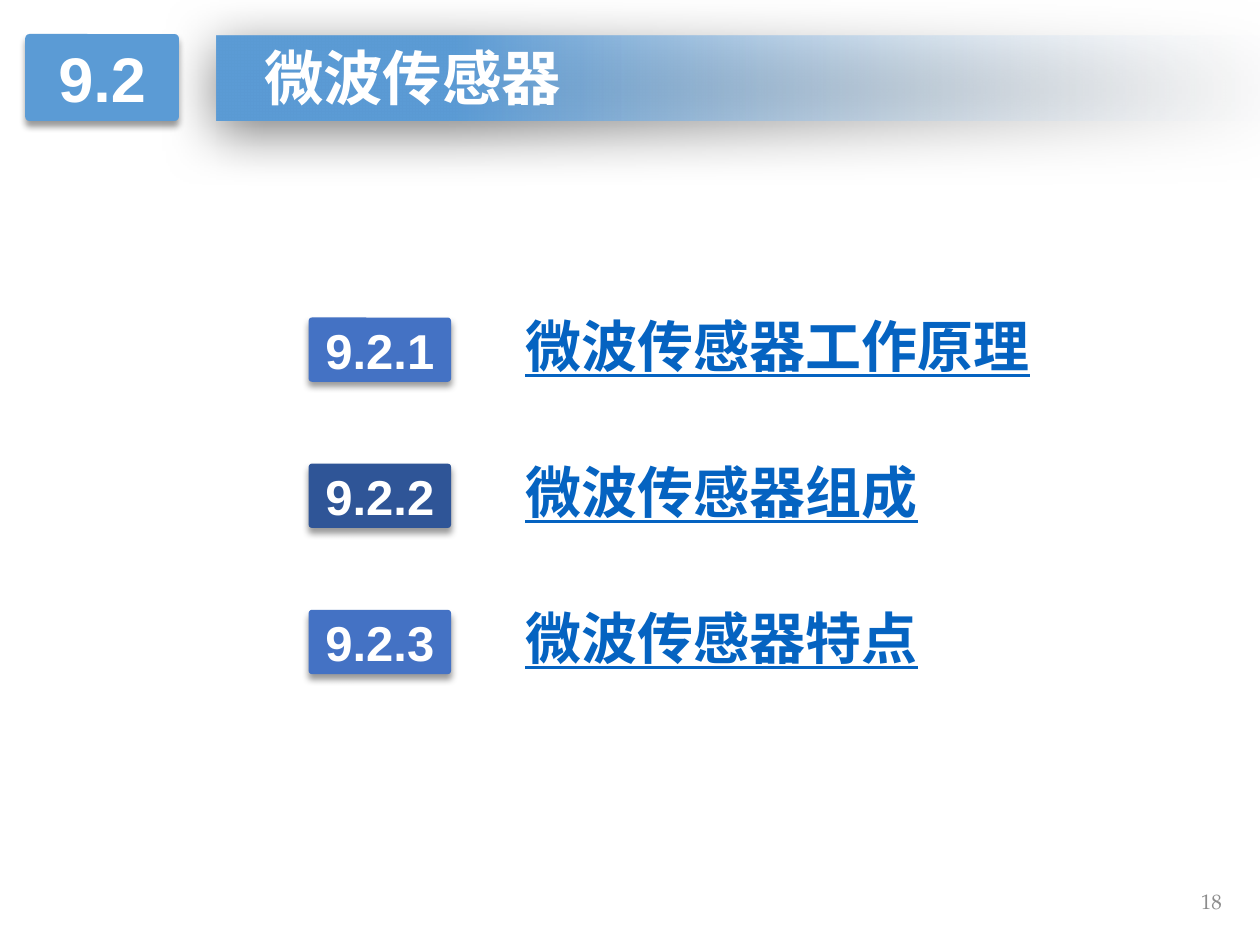
from dataclasses import dataclass

from lxml.etree import SubElement
from pptx import Presentation
from pptx.dml.color import RGBColor
from pptx.enum.shapes import MSO_SHAPE
from pptx.enum.text import MSO_ANCHOR, MSO_AUTO_SIZE, PP_ALIGN
from pptx.oxml.ns import qn
from pptx.shapes.autoshape import Shape
from pptx.slide import Slide
from pptx.util import Inches, Pt

WHITE = RGBColor(0xFF, 0xFF, 0xFF)
PALE = RGBColor(0xF6, 0xF8, 0xFC)
SKY = RGBColor(0x5B, 0x9B, 0xD5)
BLUE = RGBColor(0x44, 0x72, 0xC4)
NAVY = RGBColor(0x2F, 0x55, 0x97)
LINK = RGBColor(0x05, 0x63, 0xC1)
GRAY = RGBColor(0x8C, 0x8C, 0x8C)

LATIN = "Arial"
CHINESE = "Noto Sans CJK SC"
SERIF = "TeX Gyre Pagella"

FIRST_TOP = 2.52
ROW_PITCH = 1.16
ENTRY_PADDING = 0.26


@dataclass(frozen=True)
class Box:
    left: float
    top: float
    width: float
    height: float

    def lengths(self) -> list[Inches]:
        return [Inches(v) for v in (self.left, self.top, self.width, self.height)]


@dataclass(frozen=True)
class Style:
    size: int
    font: str
    color: RGBColor
    bold: bool = True
    underline: bool = False
    align: PP_ALIGN = PP_ALIGN.CENTER


@dataclass(frozen=True)
class Shadow:
    alpha: int
    blur: int
    distance: int
    angle: int


@dataclass(frozen=True)
class Section:
    number: str
    title: str
    color: RGBColor


BADGE_SHADOW = Shadow(40, 4, 3, 90)
BAR_SHADOW = Shadow(50, 31, 6, 97)
TITLE = Style(34, CHINESE, WHITE)
ENTRY = Style(32, CHINESE, LINK, underline=True, align=PP_ALIGN.LEFT)
PAGE = Style(12, SERIF, GRAY, bold=False)

SECTIONS = [
    Section("9.2.1", "微波传感器工作原理", BLUE),
    Section("9.2.2", "微波传感器组成", NAVY),
    Section("9.2.3", "微波传感器特点", BLUE),
]


def write(shape: Shape, text: str, style: Style) -> None:
    paragraph = shape.text_frame.paragraphs[0]
    paragraph.text = text
    paragraph.alignment = style.align
    font = paragraph.font
    font.size = Pt(style.size)
    font.bold = style.bold
    font.underline = style.underline
    font.color.rgb = style.color
    font.name = style.font
    properties = paragraph.runs[0].font
    properties.name = style.font
    east_asian = SubElement(properties._element, qn("a:ea"))
    east_asian.set("typeface", style.font)


def cast_shadow(shape: Shape, shadow: Shadow) -> None:
    shape.shadow.inherit = False
    effects = shape._element.spPr.find(qn("a:effectLst"))
    outer = SubElement(
        effects,
        qn("a:outerShdw"),
        blurRad=str(Pt(shadow.blur)),
        dist=str(Pt(shadow.distance)),
        dir=str(shadow.angle * 60000),
        algn="ctr",
        rotWithShape="0",
    )
    black = SubElement(outer, qn("a:srgbClr"), val="000000")
    SubElement(black, qn("a:alpha"), val=str(shadow.alpha * 1000))


def add_badge(slide: Slide, box: Box, number: str, color: RGBColor, size: int) -> None:
    badge = slide.shapes.add_shape(MSO_SHAPE.ROUNDED_RECTANGLE, *box.lengths())
    badge.adjustments[0] = 0.05
    badge.fill.solid()
    badge.fill.fore_color.rgb = color
    badge.line.fill.background()
    cast_shadow(badge, BADGE_SHADOW)
    badge.text_frame.vertical_anchor = MSO_ANCHOR.MIDDLE
    badge.text_frame.word_wrap = False
    write(badge, number, Style(size, LATIN, WHITE))


def add_label(slide: Slide, box: Box, text: str, style: Style) -> None:
    label = slide.shapes.add_textbox(*box.lengths())
    label.text_frame.word_wrap = False
    label.text_frame.auto_size = MSO_AUTO_SIZE.SHAPE_TO_FIT_TEXT
    write(label, text, style)


def add_title_bar(slide: Slide, box: Box) -> None:
    bar = slide.shapes.add_shape(MSO_SHAPE.RECTANGLE, *box.lengths())
    bar.line.fill.background()
    bar.fill.gradient()
    bar.fill.gradient_angle = 180
    faded, solid = bar.fill.gradient_stops
    faded.position, faded.color.rgb = 0, PALE
    solid.position, solid.color.rgb = 0.78, SKY
    faded_color = bar._element.spPr.find(".//" + qn("a:srgbClr"))
    SubElement(faded_color, qn("a:alpha"), val="0")
    cast_shadow(bar, BAR_SHADOW)


def add_page_number(slide: Slide, box: Box, number: str) -> None:
    page = slide.shapes.add_textbox(*box.lengths())
    page.text_frame.word_wrap = True
    page.text_frame.vertical_anchor = MSO_ANCHOR.MIDDLE
    write(page, number, PAGE)


def main() -> None:
    presentation = Presentation()
    presentation.slide_width = Inches(10)
    presentation.slide_height = Inches(7.5)
    slide = presentation.slides.add_slide(presentation.slide_layouts[6])

    for row, section in enumerate(SECTIONS):
        top = FIRST_TOP + row * ROW_PITCH
        add_badge(slide, Box(2.45, top, 1.13, 0.51), section.number, section.color, 28)
        title_width = ENTRY_PADDING + len(section.title) * ENTRY.size / 72
        add_label(slide, Box(4.07, top - 0.1, title_width, 0.64), section.title, ENTRY)

    add_title_bar(slide, Box(1.72, 0.28, 8.57, 0.68))
    add_badge(slide, Box(0.2, 0.27, 1.22, 0.69), "9.2", SKY, 36)
    add_label(slide, Box(1.98, 0.28, 2.59, 0.67), "微波传感器", TITLE)
    add_page_number(slide, Box(9.31, 6.95, 0.61, 0.4), "18")

    presentation.save("out.pptx")


if __name__ == "__main__":
    main()
